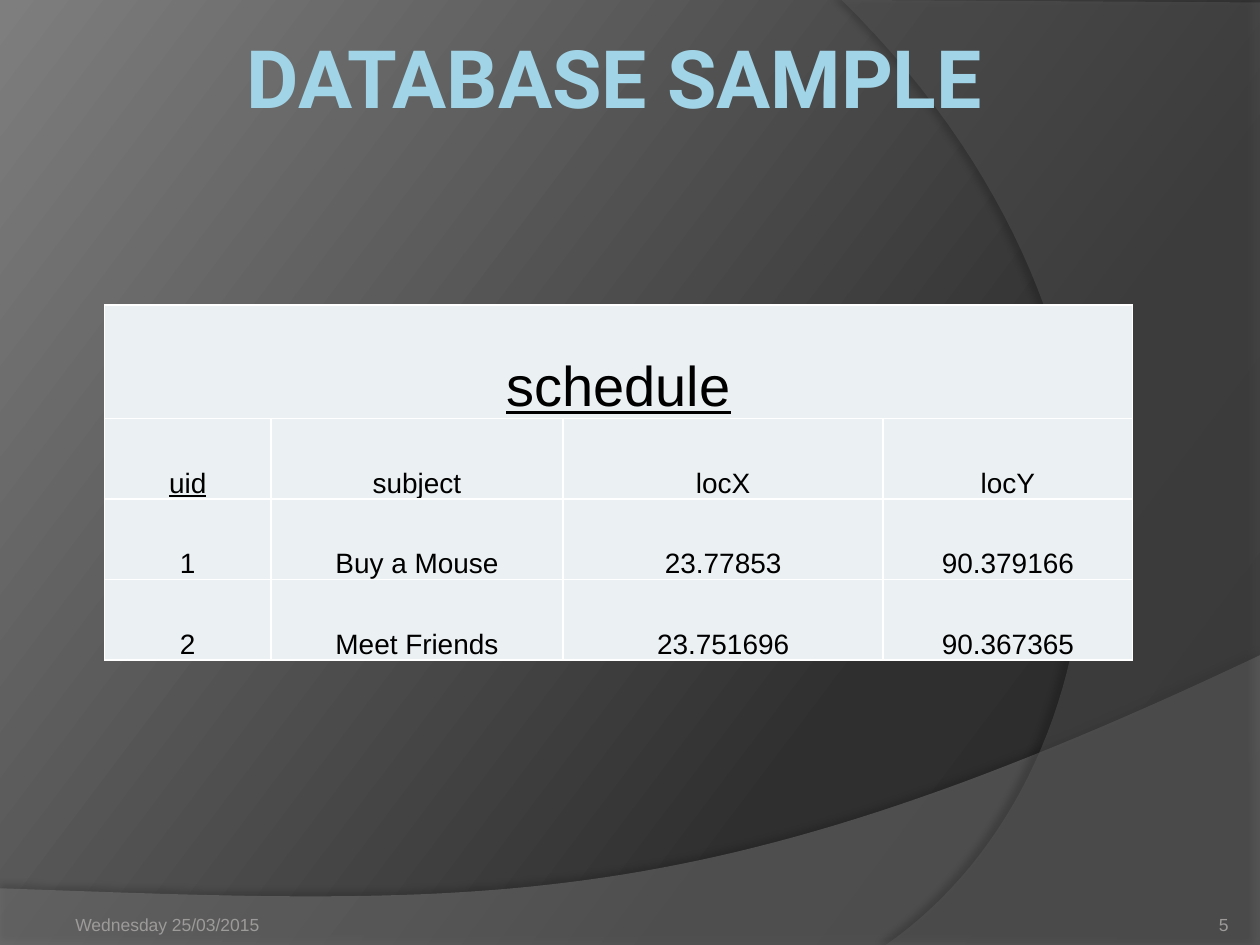
from dataclasses import dataclass

from lxml.etree import SubElement
from pptx import Presentation
from pptx.dml.color import RGBColor
from pptx.enum.text import MSO_ANCHOR, PP_ALIGN
from pptx.oxml import parse_xml
from pptx.oxml.ns import nsdecls, qn
from pptx.util import Inches, Pt

Point = tuple[float, float]
MUTED = "9D9B9A"


@dataclass
class Wave:
    before: list[Point]
    curves: list[tuple[Point, Point, Point]]
    after: list[Point]
    color: str
    opacity: int
    shadow_opacity: int
    shadow_distance: float
    shadow_angle: int


@dataclass
class Label:
    text: str
    box: tuple[float, float, float, float]
    insets: tuple[float, float, float, float]
    size: float
    color: str
    align: PP_ALIGN
    anchor: MSO_ANCHOR = MSO_ANCHOR.BOTTOM
    font: str = "Arial"
    bold: bool = False


WAVES = [
    Wave([(0, 7.05), (0, 7.51), (10, 7.51), (10, 5.2)],
         [((5.59, 7.29), (3.91, 7.19), (0, 7.05))], [],
         "7F7F7F", 45, 35, 3.5, 270),
    Wave([(10, 0.02), (10, 7.5), (7.03, 7.5)],
         [((8.91, 6.19), (9.47, 2.75), (6.68, 0))], [(10, 0.02)],
         "5E5E5E", 40, 45, 4, 180),
]
LABELS = [
    Label("DATABASE SAMPLE", (1.33, 0.17, 7.09, 1.02), (0.05,) * 4, 46, "A1D4E7",
          PP_ALIGN.CENTER, MSO_ANCHOR.TOP, "Roboto", True),
    Label("5", (8.92, 7.02, 0.83, 0.4), (0,) * 4, 10, MUTED, PP_ALIGN.RIGHT),
    Label("Wednesday 25/03/2015", (0.5, 7.02, 2.33, 0.4), (0.1, 0.05, 0.1, 0),
          10, MUTED, PP_ALIGN.LEFT),
]
SCHEDULE = [
    ["schedule"],
    ["uid", "subject", "locX", "locY"],
    ["1", "Buy a Mouse", "23.77853", "90.379166"],
    ["2", "Meet Friends", "23.751696", "90.367365"],
]
COLUMN_WIDTHS = [1.32, 2.32, 2.54, 1.98]
ROW_HEIGHTS = [0.9, 0.64, 0.64, 0.64]


def rgb(color: str) -> RGBColor:
    """Turn a hex string into a colour."""
    return RGBColor.from_string(color)


def paint_background(slide) -> None:
    """Fill the slide with a three-stop grey gradient."""
    fill = slide.background.fill
    fill.gradient()
    fill.gradient_angle = 360 - 217
    stops = slide.element.find(".//" + qn("a:gsLst"))
    for stop in list(stops):
        stops.remove(stop)
    for percent, color in ((0, "282828"), (30, "2F2F2F"), (100, "7E7E7E")):
        stop = SubElement(stops, qn("a:gs"), pos=str(percent * 1000))
        SubElement(stop, qn("a:srgbClr"), val=color)


def bezier(ends: list[Point], steps: int = 60) -> list[Point]:
    """Sample a cubic curve given by its four control points."""
    weights = ((t ** 0 * (1 - t) ** 3, 3 * t * (1 - t) ** 2,
                3 * t ** 2 * (1 - t), t ** 3)
               for t in (step / steps for step in range(1, steps + 1)))
    return [tuple(sum(w * end[axis] for w, end in zip(row, ends)) for axis in (0, 1))
            for row in weights]


def draw_wave(slide, wave: Wave) -> None:
    """Draw a translucent curved area with a soft shadow."""
    points = list(wave.before)
    for curve in wave.curves:
        points += bezier([points[-1], *curve])
    start, *rest = [(Inches(x), Inches(y)) for x, y in points + wave.after]
    builder = slide.shapes.build_freeform(*start)
    builder.add_line_segments(rest, close=True)
    area = builder.convert_to_shape()
    area.line.fill.background()
    area.fill.solid()
    area.fill.fore_color.rgb = rgb(wave.color)
    fill_color = area.element.spPr.find(".//" + qn("a:srgbClr"))
    SubElement(fill_color, qn("a:alpha"), val=str(wave.opacity * 1000))
    area.shadow.inherit = False
    shadow = SubElement(
        area.element.spPr.find(qn("a:effectLst")), qn("a:outerShdw"),
        blurRad=str(Pt(4)), dist=str(Pt(wave.shadow_distance)),
        dir=str(wave.shadow_angle * 60000), algn="ctr", rotWithShape="0")
    shadow_color = SubElement(shadow, qn("a:srgbClr"), val="000000")
    SubElement(shadow_color, qn("a:alpha"), val=str(wave.shadow_opacity * 1000))


def format_text(paragraph, size: float, color: str, align: PP_ALIGN,
                font: str = "Arial", bold: bool = False, underline: bool = False) -> None:
    """Align a paragraph and style its run."""
    paragraph.alignment = align
    style = paragraph.runs[0].font
    style.name, style.size = font, Pt(size)
    style.bold, style.underline = bold, underline
    style.color.rgb = rgb(color)


def draw_label(slide, label: Label) -> None:
    """Place one line of text in a box."""
    frame = slide.shapes.add_textbox(*map(Inches, label.box)).text_frame
    frame.text = label.text
    frame.word_wrap = True
    frame.vertical_anchor = label.anchor
    (frame.margin_left, frame.margin_top,
     frame.margin_right, frame.margin_bottom) = map(Inches, label.insets)
    format_text(frame.paragraphs[0], label.size, label.color, label.align,
                label.font, label.bold)


def style_cell(cell) -> None:
    """Give a cell its fill, thin margins and white borders."""
    cell.vertical_anchor = MSO_ANCHOR.BOTTOM
    cell.margin_left = cell.margin_top = cell.margin_right = Inches(0.01)
    cell.margin_bottom = 0
    properties = cell._tc.get_or_add_tcPr()
    for side in ("lnL", "lnR", "lnT", "lnB"):
        properties.append(parse_xml(
            f'<a:{side} {nsdecls("a")} w="{Pt(1)}"><a:solidFill>'
            f'<a:srgbClr val="FFFFFF"/></a:solidFill></a:{side}>'))
    cell.fill.solid()
    cell.fill.fore_color.rgb = rgb("EBF0F2")


def draw_schedule(slide) -> None:
    """Draw the schedule table under its merged heading."""
    table = slide.shapes.add_table(
        len(SCHEDULE), len(COLUMN_WIDTHS), Inches(0.83), Inches(2.42),
        Inches(sum(COLUMN_WIDTHS)), Inches(sum(ROW_HEIGHTS))).table
    table.first_row = table.horz_banding = False
    for column, width in zip(table.columns, COLUMN_WIDTHS):
        column.width = Inches(width)
    for row, height in zip(table.rows, ROW_HEIGHTS):
        row.height = Inches(height)
    for cell in table.iter_cells():
        style_cell(cell)
    table.cell(0, 0).merge(table.cell(0, len(COLUMN_WIDTHS) - 1))
    for row, values in enumerate(SCHEDULE):
        for column, value in enumerate(values):
            frame = table.cell(row, column).text_frame
            frame.text = value
            format_text(frame.paragraphs[0], 32 if row == 0 else 16, "000000",
                        PP_ALIGN.CENTER, underline=value in ("schedule", "uid"))


def main() -> None:
    """Build the slide and save it."""
    deck = Presentation()
    deck.slide_width, deck.slide_height = Inches(10), Inches(7.5)
    slide = deck.slides.add_slide(deck.slide_layouts[6])
    paint_background(slide)
    for wave in WAVES:
        draw_wave(slide, wave)
    draw_schedule(slide)
    for label in LABELS:
        draw_label(slide, label)
    deck.save("out.pptx")


if __name__ == "__main__":
    main()
